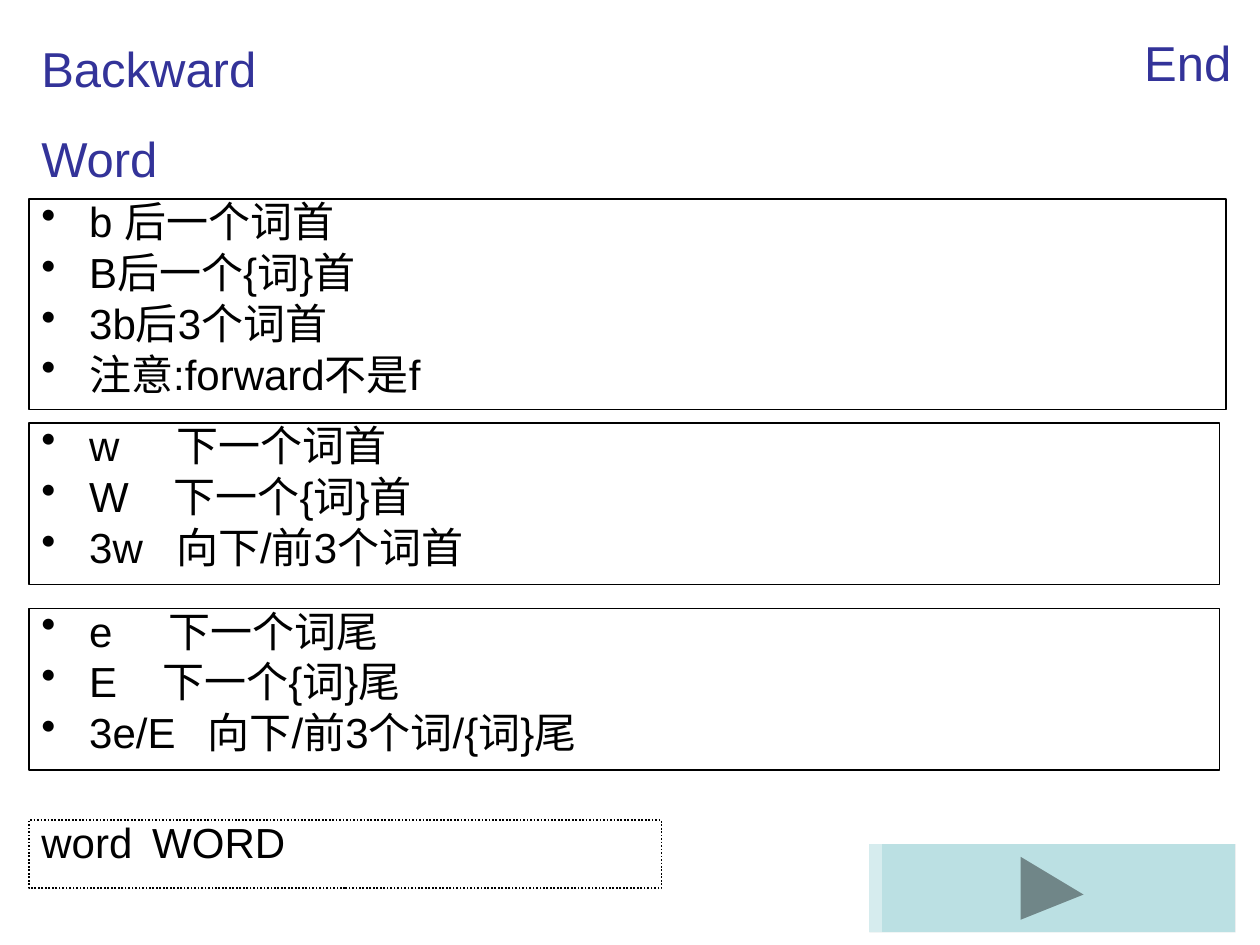
import pptx
import pptx.util
import pptx.dml.color
import pptx.enum.dml
import pptx.enum.shapes
import pptx.enum.text
import pptx.oxml
import pptx.oxml.ns

COLORS = {"text": "000000", "title": "333399", "button": "BBE0E3"}
CELL = 0.1  # grid of 100 columns by 75 rows
LEFT, WIDTH = 2.3, 94.5
INDENT = 0.38
ALIGN = pptx.enum.text.PP_ALIGN


def color(name):
    return pptx.dml.color.RGBColor.from_string(COLORS[name])


def cells(*counts):
    return [pptx.util.Inches(count * CELL) for count in counts]


class SlideBuilder:
    font, title_size, body_size = "Arial", 28, 24

    def __init__(self, slide):
        self.slide = slide

    def style(self, paragraph, text, size, color_name):
        paragraph.text = text
        paragraph.font.name = self.font
        paragraph.font.size = pptx.util.Pt(size)
        paragraph.font.color.rgb = color(color_name)

    def paragraphs(self, frame, count):
        frame.word_wrap = True
        frame.vertical_anchor = pptx.enum.text.MSO_ANCHOR.TOP
        return [frame.paragraphs[0]] + [frame.add_paragraph() for _ in range(count - 1)]

    def title(self, box, lines, align=ALIGN.LEFT):
        frame = self.slide.shapes.add_textbox(*cells(*box)).text_frame
        for number, paragraph in enumerate(self.paragraphs(frame, len(lines))):
            self.style(paragraph, lines[number], self.title_size, "title")
            paragraph.alignment = align
            if number:
                paragraph.space_before = pptx.util.Pt(17.5)

    def indent(self, paragraph, tab, bullet):
        properties = paragraph._p.get_or_add_pPr()
        properties.set("marL", str(pptx.util.Inches(INDENT)))
        properties.set("indent", str(-pptx.util.Inches(INDENT)))
        namespace = pptx.oxml.ns.nsdecls("a")
        marker = '<a:buChar %s char="•"/>' if bullet else "<a:buNone %s/>"
        properties.append(pptx.oxml.parse_xml(marker % namespace))
        if tab:
            properties.append(pptx.oxml.parse_xml(
                '<a:tabLst %s><a:tab pos="%d" algn="l"/></a:tabLst>'
                % (namespace, pptx.util.Inches(tab))))

    def panel(self, box, rows, bullet=True, dash=None):
        """Outlined box; each row is its text and the tab stop it uses."""
        shape = self.slide.shapes.add_shape(
            pptx.enum.shapes.MSO_SHAPE.RECTANGLE, *cells(*box))
        shape.shadow.inherit = False
        shape.fill.background()
        shape.line.color.rgb = color("text")
        shape.line.width = pptx.util.Pt(1)
        if dash:
            shape.line.dash_style = dash
        for number, paragraph in enumerate(self.paragraphs(shape.text_frame, len(rows))):
            text, tab = rows[number]
            self.indent(paragraph, tab, bullet)
            paragraph.alignment = ALIGN.LEFT
            paragraph.line_spacing = 0.8
            if number:
                paragraph.space_before = pptx.util.Pt(6)
            self.style(paragraph, text, self.body_size, "text")

    def next_button(self, box, bevel):
        left, top, width, height = box
        right, bottom = left + width, top + height
        outer = [(left, top), (right, top), (right, bottom), (left, bottom)]
        inner = [(left + bevel, top + bevel), (right - bevel, top + bevel),
                 (right - bevel, bottom - bevel), (left + bevel, bottom - bevel)]
        middle_x, middle_y, reach = left + width / 2, top + height / 2, 2.45
        arrow = [(middle_x - reach, middle_y - reach), (middle_x + reach, middle_y),
                 (middle_x - reach, middle_y + reach)]
        sides = [[outer[i], outer[(i + 1) % 4], inner[(i + 1) % 4], inner[i]]
                 for i in range(4)]
        outlines = [outer, *sides, arrow]
        shades = ["norm", "lightenLess", "darken", "darkenLess", "lighten", "darken"]

        builder = self.slide.shapes.build_freeform(
            *outer[0], scale=pptx.util.Inches(CELL))
        for number, outline in enumerate(outlines):
            if number:
                builder.move_to(*outline[0])
            builder.add_line_segments(outline[1:], close=True)
        shape = builder.convert_to_shape()
        shape.shadow.inherit = False
        shape.fill.solid()
        shape.fill.fore_color.rgb = color("button")
        shape.line.fill.background()

        # Give every outline its own path, so that each has its own shade
        path_list = shape._element.find(".//" + pptx.oxml.ns.qn("a:pathLst"))
        source = path_list[0]
        steps = list(source)
        path_list.remove(source)
        shades_left = iter(shades)
        for step in steps:
            if step.tag == pptx.oxml.ns.qn("a:moveTo"):
                part = pptx.oxml.parse_xml(
                    '<a:path %s w="%s" h="%s" fill="%s"/>'
                    % (pptx.oxml.ns.nsdecls("a"), source.get("w"), source.get("h"),
                       next(shades_left)))
                path_list.append(part)
            part.append(step)


def main():
    presentation = pptx.Presentation()
    presentation.slide_width, presentation.slide_height = cells(100, 75)
    slide = presentation.slides.add_slide(presentation.slide_layouts[6])
    builder = SlideBuilder(slide)

    # Backward motions
    builder.panel((LEFT, 15.8, 95, 16.7), [
        ("b 后一个词首", None), ("B后一个{词}首", None),
        ("3b后3个词首", None), ("注意:forward不是f", None)])

    # Titles
    builder.title((LEFT, 2.6, 30.5, 12.8), ["Backward", "Word"])
    builder.title((68.2, 2.1, 30.5, 5.7), ["End"], ALIGN.RIGHT)

    # Button to the next slide
    builder.next_button((69.2, 67, 29, 7.5), 0.47)

    # Forward motions: word starts, then word ends
    builder.panel((LEFT, 33.6, WIDTH, 12.8), [
        ("w\t下一个词首", 1.07), ("W\t下一个{词}首", 1.05), ("3w\t向下/前3个词首", 1.07)])
    builder.panel((LEFT, 48.3, WIDTH, 12.8), [
        ("e\t下一个词尾", 1.01), ("E\t下一个{词}尾", 0.96),
        ("3e/E\t向下/前3个词/{词}尾", 1.32)])

    # Small words and big words
    builder.panel((LEFT, 65.1, 50.2, 5.4), [("word\tWORD", 1.09)], bullet=False,
                  dash=pptx.enum.dml.MSO_LINE.ROUND_DOT)

    presentation.save("out.pptx")


if __name__ == "__main__":
    main()
